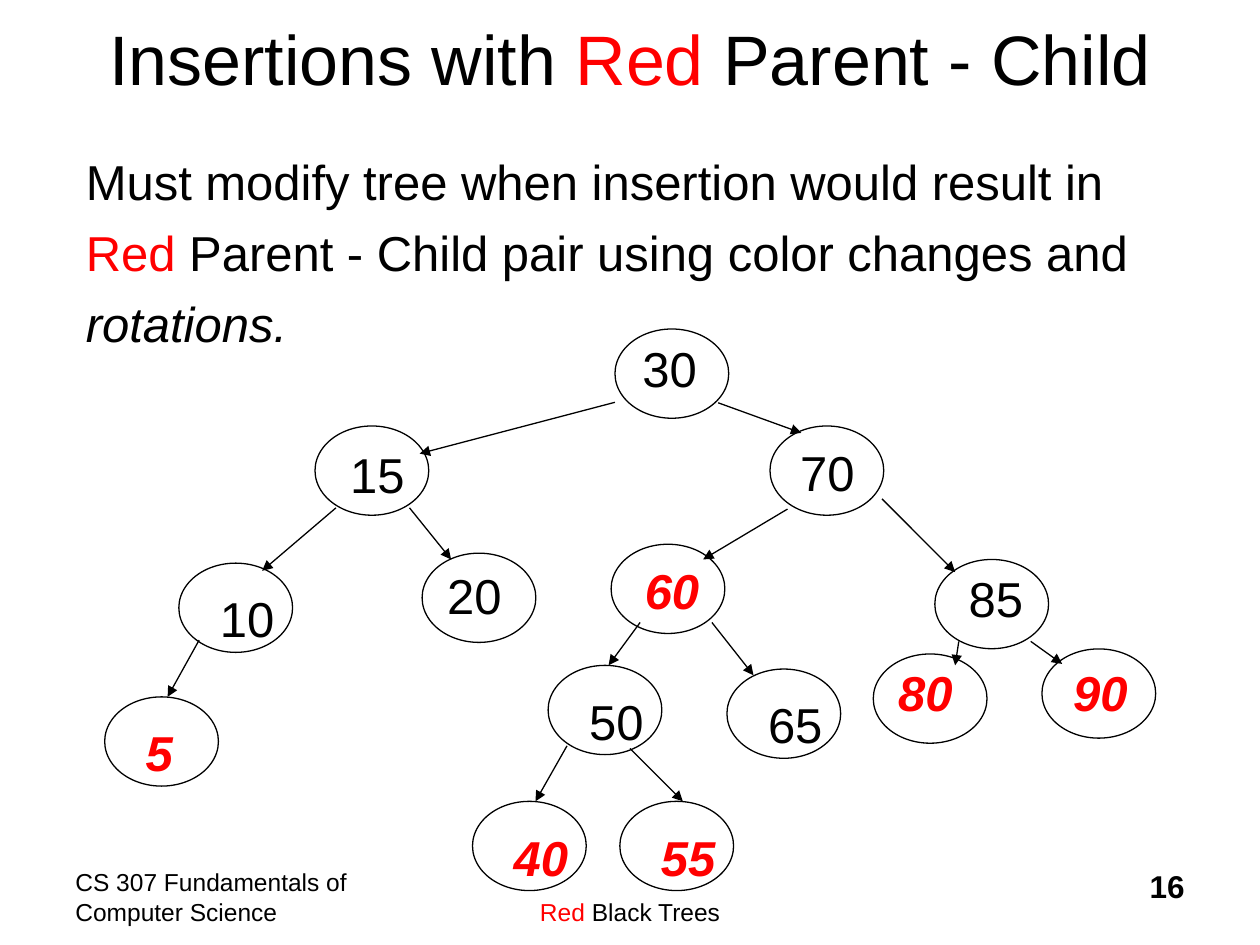
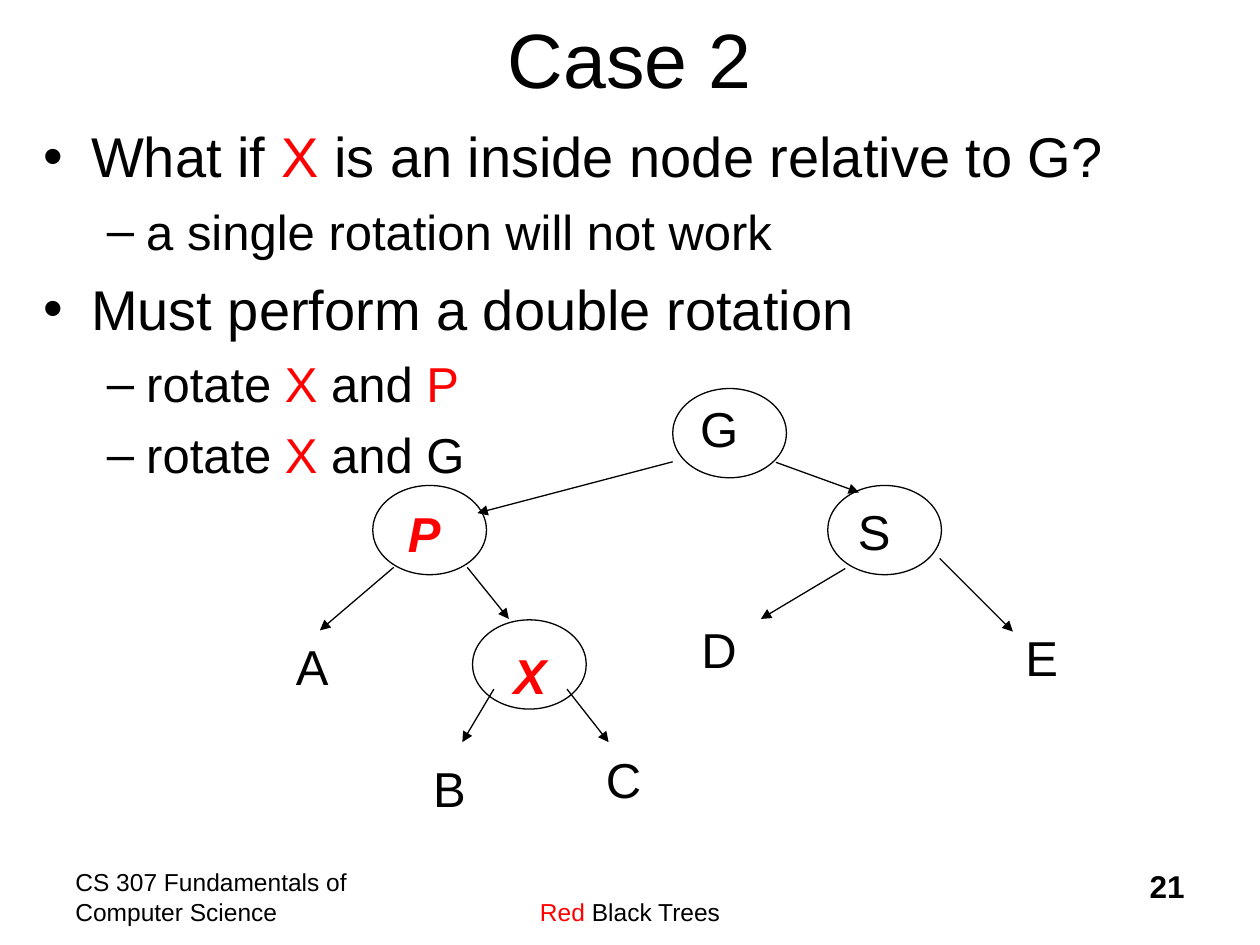
from dataclasses import dataclass

from lxml.etree import SubElement
from pptx import Presentation
from pptx.dml.color import RGBColor
from pptx.enum.shapes import MSO_CONNECTOR, MSO_SHAPE
from pptx.enum.text import MSO_ANCHOR, MSO_AUTO_SIZE, PP_ALIGN
from pptx.oxml.ns import qn
from pptx.util import Pt


@dataclass(frozen=True)
class Theme:
    font: str = "Arial"
    black: RGBColor = RGBColor(0, 0, 0)
    red: RGBColor = RGBColor(255, 0, 0)
    footer: int = 14
    number: int = 18
    text: int = 28
    bullet: int = 32
    line: float = 0.75


THEME = Theme()

# Run styles: R red, B bold, I italic. A run is (text, styles).
FOOTER_COURSE = [("CS 307 Fundamentals of Computer Science", "")]
FOOTER_TOPIC = [("Red", "R"), (" Black Trees", "")]

# Body paragraphs: (level, runs). Level: (size, space before, margin, indent, bullet)
LEVELS = {
    "plain": (THEME.text, 7, 0, 0, None),
    "bullet": (THEME.bullet, 8, 27, -27, "•"),
    "dash": (THEME.text, 7, 58.5, -22.5, "–"),
}

NODE_SIZE = (65, 51)
LABEL_SIZE = (50, 41)
LOW_LABEL = (16.4, 11.2)

# The upper tree is the same on both slides: (left, top, label offset)
UPPER_NODES = [
    (351.4, 188, (8.6, 2)),
    (180, 243.4, (13, 7)),
    (440, 243.4, (10.1, 5.8)),
]
UPPER_ARROWS = [
    (351.4, 229.9, 239.8, 259.2),
    (410.4, 230.2, 457.9, 247.4),
    (192, 290.2, 149.8, 326.2),
    (234, 290.2, 257.8, 319.7),
    (450, 290.9, 401.8, 319.7),
    (504, 285.1, 545.8, 326.9),
]

SLIDES = [
    {
        "number": "16",
        "title": [("Insertions with ", ""), ("Red", "R"), (" Parent - Child", "")],
        "title_size": 40,
        "body_box": (42, 82.8, 640, 122),
        "body": [
            ("plain", [("Must modify tree when insertion would result in", "")]),
            ("plain", [("Red", "R"),
                       (" Parent - Child pair using color changes and", "")]),
            ("plain", [("rotations.", "I")]),
        ],
        "tree_shift": (0, 0),
        "upper_labels": [("30", ""), ("15", ""), ("70", "")],
        "nodes": [
            ("85", "", 534.2, 319.7, (12.2, 1.4)),
            ("80", "RBI", 499, 373.7, (7.2, 1.4)),
            ("90", "RBI", 595.4, 370.8, (10.8, 4.3)),
            ("60", "RBI", 349.2, 311, (12.2, 5.8)),
            ("20", "", 241.2, 316.1, (7.2, 3.6)),
            ("10", "", 102.2, 321.8, LOW_LABEL),
            ("50", "", 313.2, 380.2, LOW_LABEL),
            ("65", "", 415.4, 382.3, LOW_LABEL),
            ("5", "RBI", 59.8, 398.2, LOW_LABEL),
            ("40", "RBI", 270, 457.9, LOW_LABEL),
            ("55", "RBI", 354.2, 457.9, LOW_LABEL),
        ],
        "arrows": [
            (547.9, 366.5, 545.8, 380.2),
            (589, 366.5, 607, 379.4),
            (365.8, 355.7, 347.8, 380.2),
            (406.8, 355.7, 430.6, 385.9),
            (113.8, 365.8, 95.8, 398.2),
            (324, 426.2, 306, 457.9),
            (360, 427.7, 390.2, 457.9),
        ],
        "subtrees": [],
    },
    {
        "number": "21",
        "title": [("Case 2", "")],
        "title_size": 44,
        "body_box": (18, 66.2, 684, 432),
        "body": [
            ("bullet", [("What if ", ""), ("X", "R"),
                        (" is an inside node relative to G?", "")]),
            ("dash", [("a single rotation will not work", "")]),
            ("bullet", [("Must perform a double rotation", "")]),
            ("dash", [("rotate ", ""), ("X", "R"), (" and ", ""), ("P", "R")]),
            ("dash", [("rotate ", ""), ("X", "R"), (" and G", "")]),
        ],
        "tree_shift": (33, 34),
        "upper_labels": [("G", ""), ("P", "RBI"), ("S", "")],
        "nodes": [("X", "RBI", 270, 354.2, LOW_LABEL)],
        "arrows": [
            (282.2, 393.8, 264.2, 424.1),
            (324, 393.8, 347.8, 424.1),
        ],
        "subtrees": [
            ("A", 162, 360),
            ("B", 240.5, 429.8),
            ("C", 339.1, 424.8),
            ("D", 393.8, 350.6),
            ("E", 578.9, 355),
        ],
    },
]


def add_runs(paragraph, runs, size):
    for text, styles in runs:
        run = paragraph.add_run()
        run.text = text
        font = run.font
        font.name = THEME.font
        font.size = Pt(size)
        font.bold = "B" in styles
        font.italic = "I" in styles
        font.color.rgb = THEME.red if "R" in styles else THEME.black


def add_text(slide, box, runs, size, align=PP_ALIGN.LEFT):
    frame = slide.shapes.add_textbox(*map(Pt, box)).text_frame
    frame.word_wrap = True
    paragraph = frame.paragraphs[0]
    paragraph.alignment = align
    add_runs(paragraph, runs, size)


def add_bullet(paragraph, character, margin, indent):
    properties = paragraph._p.get_or_add_pPr()
    properties.set("marL", str(Pt(margin)))
    properties.set("indent", str(Pt(indent)))
    color = SubElement(properties, qn("a:buClr"))
    SubElement(color, qn("a:srgbClr")).set("val", str(THEME.black))
    SubElement(properties, qn("a:buFont")).set("typeface", THEME.font)
    SubElement(properties, qn("a:buChar")).set("char", character)


def add_body(slide, box, paragraphs):
    frame = slide.shapes.add_textbox(*map(Pt, box)).text_frame
    frame.word_wrap = True
    for index, (level, runs) in enumerate(paragraphs):
        size, space, margin, indent, character = LEVELS[level]
        paragraph = frame.add_paragraph() if index else frame.paragraphs[0]
        if character:
            add_bullet(paragraph, character, margin, indent)
        paragraph.space_before = Pt(space if index else 0)
        add_runs(paragraph, runs, size)


def add_title(slide, runs, size):
    title = slide.shapes.title
    title.left, title.top, title.width, title.height = map(Pt, (54, -12, 612, 90))
    frame = title.text_frame
    frame.auto_size = MSO_AUTO_SIZE.NONE
    frame.vertical_anchor = MSO_ANCHOR.MIDDLE
    paragraph = frame.paragraphs[0]
    paragraph.alignment = PP_ALIGN.CENTER
    add_runs(paragraph, runs, size)


def add_footer(slide, number):
    add_text(slide, (36, 492, 180, 36), FOOTER_COURSE, THEME.footer)
    add_text(slide, (222, 509, 276, 24), FOOTER_TOPIC, THEME.footer, PP_ALIGN.CENTER)
    add_text(slide, (534, 492, 150, 36), [(number, "B")], THEME.number, PP_ALIGN.RIGHT)


def add_label(slide, text, styles, left, top):
    add_text(slide, (left, top, *LABEL_SIZE), [(text, styles)], THEME.text)


def add_node(slide, text, styles, left, top, label_offset):
    ellipse = slide.shapes.add_shape(MSO_SHAPE.OVAL, *map(Pt, (left, top, *NODE_SIZE)))
    ellipse.shadow.inherit = False
    ellipse.fill.background()
    ellipse.line.color.rgb = THEME.black
    ellipse.line.width = Pt(THEME.line)
    add_label(slide, text, styles, left + label_offset[0], top + label_offset[1])


def add_arrow(slide, ends):
    arrow = slide.shapes.add_connector(MSO_CONNECTOR.STRAIGHT, *map(Pt, ends))
    arrow.line.color.rgb = THEME.black
    arrow.line.width = Pt(THEME.line)
    SubElement(arrow.line._get_or_add_ln(), qn("a:tailEnd")).set("type", "triangle")
    SubElement(arrow._element.spPr, qn("a:effectLst"))


def add_tree(slide, content):
    """Draw the shared upper tree, shifted, then the slide's own lower part."""
    dx, dy = content["tree_shift"]
    upper = [(*label, left + dx, top + dy, offset)
             for label, (left, top, offset) in zip(content["upper_labels"], UPPER_NODES)]
    for node in upper + content["nodes"]:
        add_node(slide, *node)
    for text, left, top in content["subtrees"]:
        add_label(slide, text, "", left, top)
    shifted = [(x1 + dx, y1 + dy, x2 + dx, y2 + dy) for x1, y1, x2, y2 in UPPER_ARROWS]
    for ends in shifted + content["arrows"]:
        add_arrow(slide, ends)


def main():
    presentation = Presentation()
    presentation.slide_width, presentation.slide_height = Pt(720), Pt(540)
    title_only = presentation.slide_layouts[5]
    for content in SLIDES:
        slide = presentation.slides.add_slide(title_only)
        add_footer(slide, content["number"])
        add_title(slide, content["title"], content["title_size"])
        add_body(slide, content["body_box"], content["body"])
        add_tree(slide, content)
    presentation.save("out.pptx")


if __name__ == "__main__":
    main()
